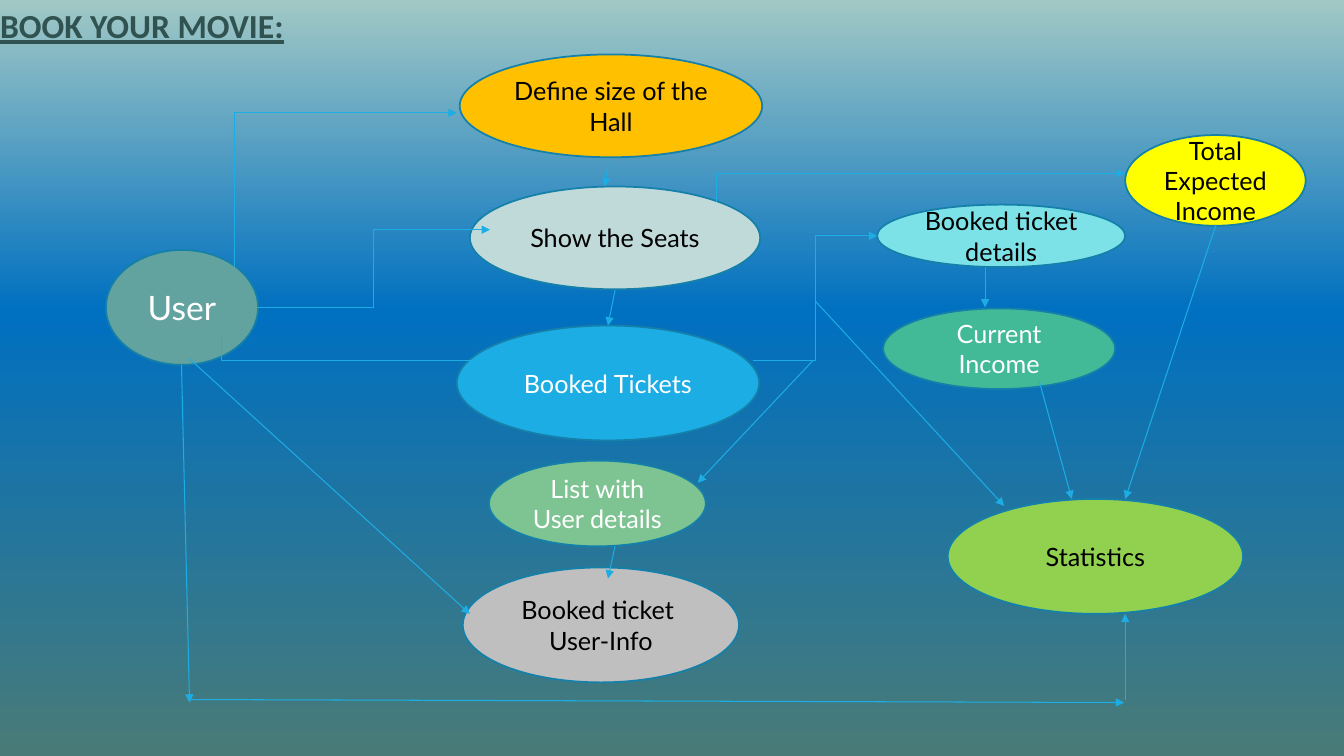
from copy import deepcopy
from dataclasses import dataclass

from lxml.etree import SubElement
from pptx import Presentation
from pptx.dml.color import RGBColor
from pptx.enum.shapes import MSO_CONNECTOR as Connector, MSO_SHAPE as Shape
from pptx.enum.text import MSO_ANCHOR as Anchor, PP_ALIGN as Align
from pptx.oxml.ns import qn
from pptx.util import Inches, Pt


@dataclass(frozen=True)
class Theme:
    """Colours, fonts and type sizes of the slide."""
    background: tuple = ((0, "A1C8C5"), (0.41, "0070C0"), (1, "487B78"))
    outline: str = "1580A9"
    arrow: str = "1CADE4"
    title: str = "305250"
    dark: str = "000000"
    light: str = "FFFFFF"
    title_font: str = "Calibri"
    body_font: str = "Lato"
    large: int = 24
    normal: int = 18
    outline_width: float = 1.25
    arrow_width: float = 0.75


THEME = Theme()

# Text, left, top, width, height, fill, text colour, type size
NODES = [
    ("Define size of the Hall", 4.56, 0.54, 3, 1.02, "FFC000", THEME.dark, THEME.normal),
    ("Statistics", 9.4, 4.95, 2.93, 1.14, "92D050", THEME.dark, THEME.normal),
    ("Booked Tickets", 4.53, 3.23, 3, 1.14, "1CADE4", THEME.light, THEME.normal),
    ("Show the Seats", 4.66, 1.85, 2.88, 1.02, "C0DAD9", THEME.dark, THEME.normal),
    ("Booked ticket \nUser-Info", 4.59, 5.63, 2.74, 1.14, "BFBFBF", THEME.dark, THEME.normal),
    ("User", 1.05, 2.48, 1.51, 1.14, "62A39F", THEME.light, THEME.large),
    ("Total Expected Income", 11.16, 1.34, 1.79, 0.9, "FFFF00", THEME.dark, THEME.normal),
    ("Booked ticket details", 8.7, 2.03, 2.46, 0.62, "7DE2E7", THEME.dark, THEME.normal),
    ("Current Income", 8.76, 3.06, 2.3, 0.8, "42BA97", THEME.light, THEME.normal),
    ("List with User details ", 4.85, 4.57, 2.15, 0.85, "7EC492", THEME.light, THEME.normal),
]

# Each arrow: start x, start y, end x, end y
STRAIGHT_ARROWS = [
    (6.03, 1.63, 6, 1.85),
    (6.1, 2.88, 6.03, 3.23),
    (9.77, 2.65, 9.77, 3.05),
    (10.31, 3.79, 10.63, 4.95),
    (12.06, 2.23, 11.16, 4.95),
    (8.06, 3.58, 6.92, 4.79),
    (8.09, 2.99, 9.96, 5.02),
    (1.88, 3.56, 4.66, 6.09),
    (6.1, 5.42, 6.03, 5.74),
    (11.16, 6.94, 11.16, 6.09),
    (1.8, 3.62, 1.88, 6.97),
    (1.88, 6.94, 11.15, 6.97),
]
STEP_ARROWS = [(2.55, 3.05, 4.86, 2.28), (7.47, 3.58, 8.7, 2.34)]
CORNER_ARROWS = [
    (2.2, 3.33, 4.97, 3.58),
    (2.33, 2.65, 4.53, 1.12),
    (7.11, 2, 11.16, 1.72),
]


def set_attributes(target, values):
    """Set every attribute named in a dict of format values."""
    for name, value in values.items():
        setattr(target, name, value)


def format_font(font, color, **values):
    """Give a font its colour and other format values."""
    set_attributes(font, values)
    font.color.rgb = RGBColor.from_string(color)


def format_line(line, color, width):
    """Give a line a solid colour and a width in points."""
    line.color.rgb = RGBColor.from_string(color)
    line.width = Pt(width)


def paint_background(slide):
    """Fill the background with the vertical three-stop gradient."""
    fill = slide.background.fill
    fill.gradient()
    fill.gradient_angle = 270
    stop_list = slide._element.find(".//" + qn("a:gsLst"))
    stop_list.append(deepcopy(stop_list[-1]))
    for stop, (position, color) in zip(fill.gradient_stops, THEME.background):
        stop.position = position
        stop.color.rgb = RGBColor.from_string(color)


def add_title(slide, text):
    """Place the underlined heading in the top left corner."""
    title = slide.shapes.title
    set_attributes(title, dict(left=Inches(-0.1), top=Inches(0),
                               width=Inches(10), height=Inches(0.5)))
    title.text_frame.text = text
    title.text_frame.vertical_anchor = Anchor.TOP
    paragraph = title.text_frame.paragraphs[0]
    paragraph.alignment = Align.LEFT
    format_font(paragraph.runs[0].font, THEME.title, name=THEME.title_font,
                size=Pt(THEME.large), bold=True, underline=True)


def add_node(slide, text, left, top, width, height, fill, color, size):
    """Add an ellipse with centred text."""
    shape = slide.shapes.add_shape(
        Shape.OVAL, *map(Inches, (left, top, width, height)))
    shape.shadow.inherit = False
    shape.fill.solid()
    shape.fill.fore_color.rgb = RGBColor.from_string(fill)
    format_line(shape.line, THEME.outline, THEME.outline_width)
    frame = shape.text_frame
    frame.text = text
    set_attributes(frame, dict(word_wrap=True, vertical_anchor=Anchor.MIDDLE))
    for paragraph in frame.paragraphs:
        paragraph.alignment = Align.CENTER
        format_font(paragraph.runs[0].font, color,
                    name=THEME.body_font, size=Pt(size))


def add_arrow(slide, kind, *ends):
    """Add a connector with a triangle head at its end."""
    connector = slide.shapes.add_connector(kind, *map(Inches, ends))
    format_line(connector.line, THEME.arrow, THEME.arrow_width)
    properties = connector._element.spPr
    SubElement(properties.find(qn("a:ln")), qn("a:tailEnd"), type="triangle")
    SubElement(properties, qn("a:effectLst"))
    return connector


def add_corner_arrow(slide, start_x, start_y, end_x, end_y):
    """Add an arrow that runs vertically, then turns right."""
    center_x, center_y = (start_x + end_x) / 2, (start_y + end_y) / 2
    half_rise, half_run = (start_y - end_y) / 2, (end_x - start_x) / 2
    # The box is laid on its side; a falling arrow is mirrored by its negative rise.
    connector = add_arrow(slide, Connector.ELBOW,
                          center_x - half_rise, center_y - half_run,
                          center_x + half_rise, center_y + half_run)
    properties = connector._element.spPr
    properties.find(qn("a:prstGeom")).set("prst", "bentConnector2")
    properties.find(qn("a:xfrm")).set("rot", str(270 * 60000))


def main():
    """Build the slide and save it."""
    presentation = Presentation()
    set_attributes(presentation, dict(slide_width=Inches(13.33),
                                      slide_height=Inches(7.5)))
    slide = presentation.slides.add_slide(presentation.slide_layouts[5])
    paint_background(slide)
    add_title(slide, "BOOK YOUR MOVIE:")
    for node in NODES:
        add_node(slide, *node)
    for ends in STRAIGHT_ARROWS:
        add_arrow(slide, Connector.STRAIGHT, *ends)
    for ends in STEP_ARROWS:
        add_arrow(slide, Connector.ELBOW, *ends)
    for ends in CORNER_ARROWS:
        add_corner_arrow(slide, *ends)
    presentation.save("out.pptx")


main()
